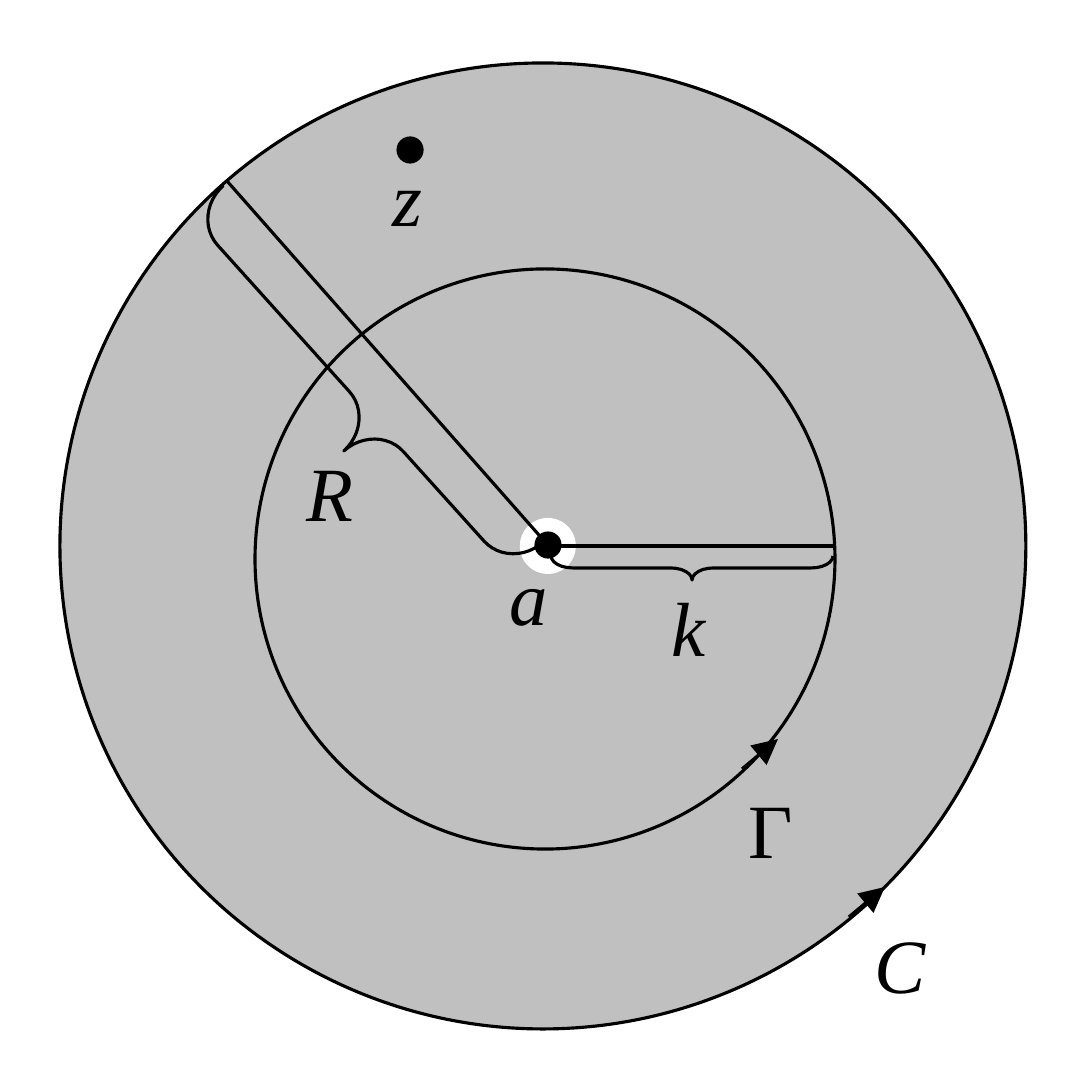
"""Build the annulus diagram with circles Γ and C around the point a."""
from dataclasses import dataclass

from lxml import etree
from pptx import Presentation
from pptx.dml.color import RGBColor
from pptx.enum.shapes import MSO_CONNECTOR, MSO_SHAPE
from pptx.enum.text import MSO_AUTO_SIZE
from pptx.oxml.ns import qn
from pptx.util import Pt

OVAL = MSO_SHAPE.OVAL
LEFT_BRACE = MSO_SHAPE.LEFT_BRACE
RIGHT_BRACE = MSO_SHAPE.RIGHT_BRACE
STRAIGHT = MSO_CONNECTOR.STRAIGHT
FIT_SHAPE = MSO_AUTO_SIZE.SHAPE_TO_FIT_TEXT
EMU_PER_PX = 2980
BLANK_LAYOUT = 6


@dataclass(frozen=True)
class Theme:
    """Hold the colours, font and sizes of the diagram."""
    ink: RGBColor = RGBColor(0, 0, 0)
    disc: RGBColor = RGBColor(192, 192, 192)
    paper: RGBColor = RGBColor(255, 255, 255)
    font: str = "Times New Roman"
    label_size: Pt = Pt(18)
    stroke: Pt = Pt(0.75)


THEME = Theme()


def px(*lengths):
    """Turn lengths in px into a list of EMU."""
    return [length * EMU_PER_PX for length in lengths]


def set_values(target, values):
    """Set every attribute named in the dict of format values."""
    for name, value in values.items():
        setattr(target, name, value)


def set_stroke(line):
    """Give a line the diagram's ink and width."""
    line.color.rgb = THEME.ink
    line.width = THEME.stroke


def add_centred(slide, kind, centre, size, fill=None, outlined=True):
    """Add a preset shape around its centre point."""
    (x, y), (width, height) = centre, size
    left, top = x - width / 2, y - height / 2
    shape = slide.shapes.add_shape(kind, *map(round, px(left, top, width, height)))
    shape.shadow.inherit = False
    if fill is None:
        shape.fill.background()
    else:
        shape.fill.solid()
        shape.fill.fore_color.rgb = fill
    if outlined:
        set_stroke(shape.line)
    else:
        shape.line.fill.background()
    return shape


def add_circle(slide, centre, radius, fill=None, outlined=True):
    """Add a circle from its centre and radius."""
    add_centred(slide, OVAL, centre, (2 * radius, 2 * radius), fill, outlined)


def add_brace(slide, kind, centre, size, rotation, bend, tip):
    """Add a rotated brace with its bend and tip position."""
    brace = add_centred(slide, kind, centre, size)
    brace.rotation = rotation
    brace.adjustments[0] = bend
    brace.adjustments[1] = tip


def add_line(slide, start, end, arrow=False):
    """Add a straight line, with an arrowhead at its end if asked."""
    connector = slide.shapes.add_connector(STRAIGHT, *px(*start, *end))
    set_stroke(connector.line)
    properties = connector.element.spPr
    if arrow:
        outline = properties.find(qn("a:ln"))
        etree.SubElement(outline, qn("a:tailEnd"), type="triangle")
    etree.SubElement(properties, qn("a:effectLst"))


def add_label(slide, text, left, top, width, italic=True):
    """Add a one-letter label."""
    box = slide.shapes.add_textbox(*px(left, top, width, 123))
    set_values(box.text_frame, {"word_wrap": False, "auto_size": FIT_SHAPE})
    span = box.text_frame.paragraphs[0].add_run()
    span.text = text
    set_values(span.font, {"name": THEME.font, "size": THEME.label_size, "italic": italic})
    span.font.color.rgb = THEME.ink


def main():
    """Draw the diagram and save the deck."""
    deck = Presentation()
    deck.slide_width, deck.slide_height = px(1086, 1092)
    slide = deck.slides.add_slide(deck.slide_layouts[BLANK_LAYOUT])

    add_circle(slide, (543, 546), 483, THEME.disc)
    add_circle(slide, (548, 546), 28, THEME.paper, outlined=False)
    add_circle(slide, (545, 559), 290)
    add_line(slide, (227, 181), (547, 544))
    add_line(slide, (547, 546), (833, 546))
    for point in ((548, 545), (410, 150)):
        add_circle(slide, point, 12, THEME.ink)

    add_brace(slide, LEFT_BRACE, (351, 393), (88, 479), 318, 0.46, 0.58)
    add_brace(slide, RIGHT_BRACE, (692, 568), (24, 282), 90, 0.9, 0.5)
    for x, y in ((742, 769), (849, 917)):
        add_line(slide, (x, y), (x + 36, y - 30), arrow=True)

    add_label(slide, "a", 479, 534, 98)
    add_label(slide, "z", 362, 135, 89)
    add_label(slide, "R", 276, 430, 107)
    add_label(slide, "Γ", 718, 767, 104, italic=False)
    add_label(slide, "k", 641, 565, 95)
    add_label(slide, "C", 844, 902, 110)
    deck.save("out.pptx")


if __name__ == "__main__":
    main()
